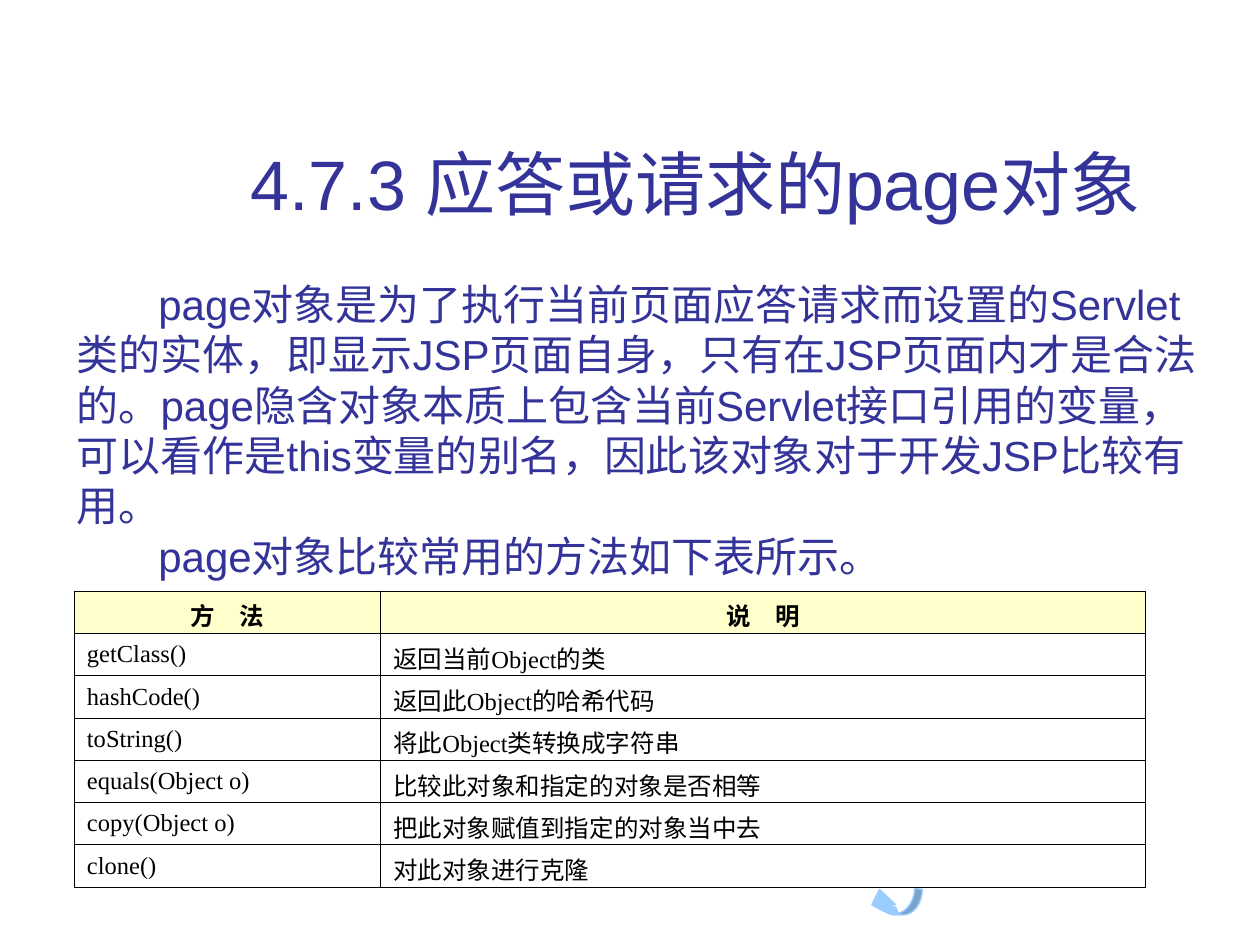
"""Builds the slide on the JSP page object with its table of methods."""
import lxml.etree
import pptx
import pptx.dml.color
import pptx.enum.text
import pptx.oxml.ns
import pptx.util

Pt = pptx.util.Pt
PP_ALIGN = pptx.enum.text.PP_ALIGN
MSO_ANCHOR = pptx.enum.text.MSO_ANCHOR
COLORS = {"text": "333399", "black": "000000", "header": "FFFFCC", "arrow": "99CCFF", "shade": "7AA3CC"}


def format_text(paragraph, size, font, color, bold=False):
    for run in paragraph.runs:
        run.font.size = Pt(size)
        run.font.name = font
        run.font.bold = bold
        run.font.color.rgb = pptx.dml.color.RGBColor.from_string(COLORS[color])


def curve(start, first, second, end, steps=12):
    points = []
    for step in range(1, steps + 1):
        t = step / steps
        weights = ((1 - t) ** 3, 3 * t * (1 - t) ** 2, 3 * t ** 2 * (1 - t), t ** 3)
        points.append(tuple(
            sum(weight * value for weight, value in zip(weights, axis))
            for axis in zip(start, first, second, end)
        ))
    return points


presentation = pptx.Presentation()
presentation.slide_width = Pt(720)
presentation.slide_height = Pt(540)
slide = presentation.slides.add_slide(presentation.slide_layouts[6])

title = slide.shapes.add_textbox(Pt(90.7), Pt(16.6), Pt(613.4), Pt(115.2)).text_frame
title.word_wrap = True
title.vertical_anchor = MSO_ANCHOR.BOTTOM
title.text = "4.7.3 应答或请求的page对象"
title.paragraphs[0].alignment = PP_ALIGN.CENTER
format_text(title.paragraphs[0], 40, "Arial", "text")

description = slide.shapes.add_textbox(Pt(36.7), Pt(155.5), Pt(663.1), Pt(180)).text_frame
description.word_wrap = True
description.text = (
    "page对象是为了执行当前页面应答请求而设置的Servlet类的实体，即显示JSP页面自身，"
    "只有在JSP页面内才是合法的。page隐含对象本质上包含当前Servlet接口引用的变量，"
    "可以看作是this变量的别名，因此该对象对于开发JSP比较有用。\n"
    "page对象比较常用的方法如下表所示。"
)
for paragraph in description.paragraphs:
    properties = paragraph._p.get_or_add_pPr()
    properties.set("marL", "0")
    properties.set("indent", str(Pt(46.7)))
    format_text(paragraph, 24, "Arial", "text")

outer_top, outer_bottom = (527, 508.3), (516.2, 522.7)
inner_top, inner_bottom = (522.7, 507.6), (513.4, 522)
tail_bottom, tail_end = (510.5, 522.7), (504.7, 520.6)
head_inner, body_start = (507.6, 517), (511.9, 518.4)
outer_edge = [outer_top] + curve(outer_top, (527, 516.2), (522, 522.7), outer_bottom) + [tail_bottom]
inner_edge = [inner_bottom] + curve(inner_bottom, (518.4, 520.6), (522.7, 514.8), inner_top)
head = (
    curve(tail_bottom, (508.3, 522.7), (506.9, 521.3), tail_end)
    + [(498.2, 517), (502.6, 508.3), (511.9, 517), head_inner]
    + curve(head_inner, (509, 517.7), (510.5, 518.4), body_start)
)
for outline, color in ((outer_edge + head + inner_edge, "arrow"), (outer_edge + inner_edge, "shade")):
    points = [(Pt(x), Pt(y)) for x, y in outline]
    builder = slide.shapes.build_freeform(*points[0])
    builder.add_line_segments(points[1:], close=True)
    return_arrow = builder.convert_to_shape()
    return_arrow.shadow.inherit = False
    return_arrow.fill.solid()
    return_arrow.fill.fore_color.rgb = pptx.dml.color.RGBColor.from_string(COLORS[color])
    return_arrow.line.color.rgb = pptx.dml.color.RGBColor.from_string(COLORS["arrow"])
    return_arrow.line.width = Pt(0.75)

methods = [
    ("方　法", "说　明"),
    ("getClass()", "返回当前Object的类"),
    ("hashCode()", "返回此Object的哈希代码"),
    ("toString()", "将此Object类转换成字符串"),
    ("equals(Object o)", "比较此对象和指定的对象是否相等"),
    ("copy(Object o)", "把此对象赋值到指定的对象当中去"),
    ("clone()", "对此对象进行克隆"),
]
table = slide.shapes.add_table(len(methods), 2, Pt(42.5), Pt(337.7), Pt(612), Pt(24.2 * len(methods))).table
table.columns[0].width = Pt(175)
table.columns[1].width = Pt(437)
for row, entries in enumerate(methods):
    table.rows[row].height = Pt(24.2)
    for column, entry in enumerate(entries):
        is_header = row == 0
        cell = table.cell(row, column)
        cell.text_frame.text = entry
        cell.vertical_anchor = MSO_ANCHOR.MIDDLE
        paragraph = cell.text_frame.paragraphs[0]
        paragraph.alignment = PP_ALIGN.CENTER if is_header else PP_ALIGN.LEFT
        format_text(paragraph, 14, "Times New Roman", "black", is_header)
        if is_header:
            cell.fill.solid()
            cell.fill.fore_color.rgb = pptx.dml.color.RGBColor.from_string(COLORS["header"])
        else:
            cell.fill.background()
        cell_properties = cell._tc.get_or_add_tcPr()
        for position, side in enumerate(("lnL", "lnR", "lnT", "lnB")):
            border = lxml.etree.Element(pptx.oxml.ns.qn("a:" + side), w=str(Pt(0.45)))
            border_fill = lxml.etree.SubElement(border, pptx.oxml.ns.qn("a:solidFill"))
            lxml.etree.SubElement(border_fill, pptx.oxml.ns.qn("a:srgbClr"), val=COLORS["black"])
            cell_properties.insert(position, border)

presentation.save("out.pptx")
